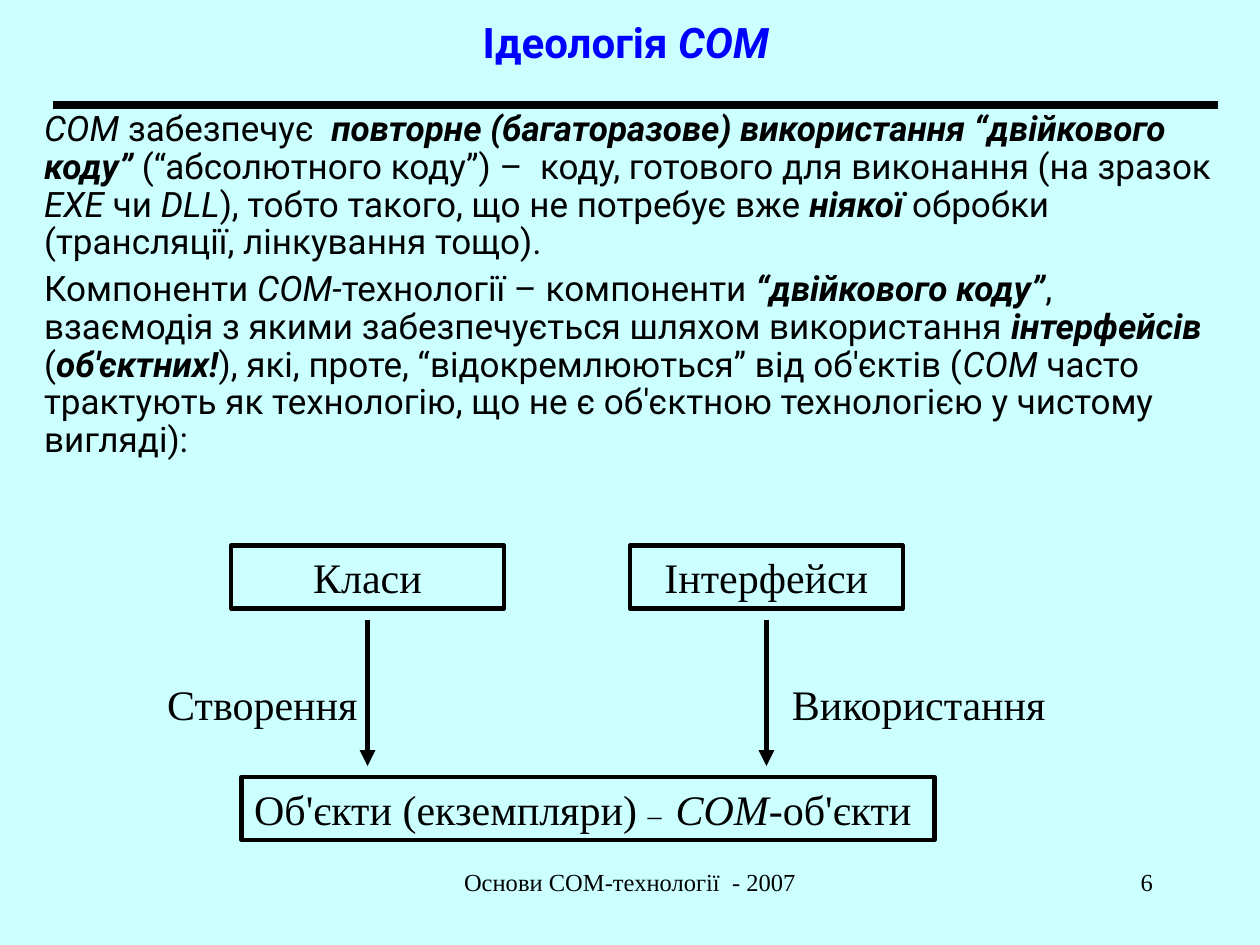
from lxml.etree import SubElement
from pptx import Presentation
from pptx.dml.color import RGBColor
from pptx.enum.shapes import MSO_CONNECTOR, MSO_SHAPE
from pptx.enum.text import MSO_ANCHOR, PP_ALIGN
from pptx.oxml.ns import qn
from pptx.util import Cm, Pt

SANS, SERIF = "Roboto", "Times New Roman"
BLACK, BLUE, PALE = "000000", "0000FF", "CCFFFF"

# A span is (text, style, optional size); style letters: b bold, i italic
TITLE = [("Ідеологія ", "b"), ("COM", "bi"), (" ", "b", 20)]
BODY = [
    [("COM", "i"), (" забезпечує  ", ""),
     ("повторне (багаторазове) використання “двійкового коду”", "bi"),
     (" (“абсолютного коду”) –  коду, готового для виконання (на зразок ", ""),
     ("EXE", "i"), (" чи ", ""), ("DLL", "i"),
     ("), тобто такого, що не потребує вже ", ""), ("ніякої", "bi"),
     (" обробки (трансляції, лінкування тощо).", "")],
    [("Компоненти", ""), (" COM-", "i"), ("технології – компоненти ", ""),
     ("“двійкового коду”", "bi"),
     (", взаємодія з якими забезпечується шляхом використання ", ""),
     ("інтерфейсів", "bi"), (" (", ""), ("об'єктних!", "bi"),
     ("), які, проте, “відокремлюються” від об'єктів (", ""), ("COM", "i"),
     (" часто трактують як технологію, що не є об'єктною технологією "
      "у чистому вигляді):", "")],
]
OBJECTS = [("Об'єкти (екземпляри) ", ""), ("–  ", "", 16),
           ("COM-", "i"), ("об'єкти ", "")]

ROW = 1.27
BOX_TOP, LABEL_TOP, OBJECTS_TOP, FOOTER_TOP = 11, 13.55, 15.66, 17.36
ARROW_GAP = 0.22
# Text, left, width
BOXES = [("Класи", 4.66, 5.5), ("Інтерфейси", 12.7, 5.5)]
LABELS = [("Створення", 2.54, 5.5), ("Використання", 15.66, 5.72)]
FOOTERS = [("Основи COM-технології  - 2007", 8.68, 8.04, PP_ALIGN.CENTER),
           ("6", 18.2, 5.29, PP_ALIGN.RIGHT)]


def rgb(code):
    return RGBColor.from_string(code)


def write(shape, paragraphs, size, font=SERIF, color=BLACK,
          align=PP_ALIGN.CENTER, anchor=MSO_ANCHOR.TOP, spacing=None, before=0):
    frame = shape.text_frame
    frame.word_wrap = True
    frame.vertical_anchor = anchor
    for index, spans in enumerate(paragraphs):
        para = frame.add_paragraph() if index else frame.paragraphs[0]
        para.alignment = align
        para.line_spacing = spacing
        para.space_before = Pt(before if index else 0)
        para.font.name = font
        para.font.size = Pt(size)
        para.font.color.rgb = rgb(color)
        for text, style, *own_size in spans:
            span = para.add_run()
            span.text = text
            if "b" in style:
                span.font.bold = True
            if "i" in style:
                span.font.italic = True
            if own_size:
                span.font.size = Pt(own_size[0])


def add_text(shapes, left, top, width, height, paragraphs, size, **look):
    box = shapes.add_textbox(Cm(left), Cm(top), Cm(width), Cm(height))
    write(box, paragraphs, size, **look)


def add_box(shapes, left, top, width, spans):
    box = shapes.add_shape(MSO_SHAPE.RECTANGLE, Cm(left), Cm(top), Cm(width), Cm(ROW))
    box.shadow.inherit = False
    box.fill.background()
    box.line.color.rgb = rgb(BLACK)
    box.line.width = Pt(2.5)
    write(box, [spans], 24)


def add_line(shapes, x1, y1, x2, y2, width, arrow=False):
    line = shapes.add_connector(MSO_CONNECTOR.STRAIGHT, Cm(x1), Cm(y1), Cm(x2), Cm(y2))
    line.line.color.rgb = rgb(BLACK)
    line.line.width = Pt(width)
    if arrow:
        SubElement(line.line._get_or_add_ln(), qn("a:tailEnd"), type="triangle")
    SubElement(line._element.spPr, qn("a:effectLst"))


def main():
    deck = Presentation()
    deck.slide_width, deck.slide_height = Cm(25.4), Cm(19.05)
    page = deck.slides.add_slide(deck.slide_layouts[6])
    page.background.fill.solid()
    page.background.fill.fore_color.rgb = rgb(PALE)

    add_text(page.shapes, 1.9, 0, 21.6, 1.7, [TITLE], 24, font=SANS,
             color=BLUE, anchor=MSO_ANCHOR.MIDDLE)
    add_line(page.shapes, 1.06, 2.12, 24.55, 2.12, 4.5)
    add_text(page.shapes, 0.64, 2.12, 24.13, 15.24, BODY, 20, font=SANS,
             align=PP_ALIGN.LEFT, spacing=0.9, before=5)

    diagram = page.shapes.add_group_shape().shapes
    for text, left, width in LABELS:
        add_text(diagram, left, LABEL_TOP, width, ROW, [[(text, "")]], 24)
    for text, left, width in BOXES:
        add_box(diagram, left, BOX_TOP, width, [(text, "")])
        middle = left + width / 2
        add_line(diagram, middle, BOX_TOP + ROW + ARROW_GAP,
                 middle, OBJECTS_TOP - ARROW_GAP, 3, arrow=True)
    add_box(diagram, 4.87, OBJECTS_TOP, 13.97, OBJECTS)

    for text, left, width, align in FOOTERS:
        add_text(page.shapes, left, FOOTER_TOP, width, ROW, [[(text, "")]], 14, align=align)
    deck.save("out.pptx")


if __name__ == "__main__":
    main()
